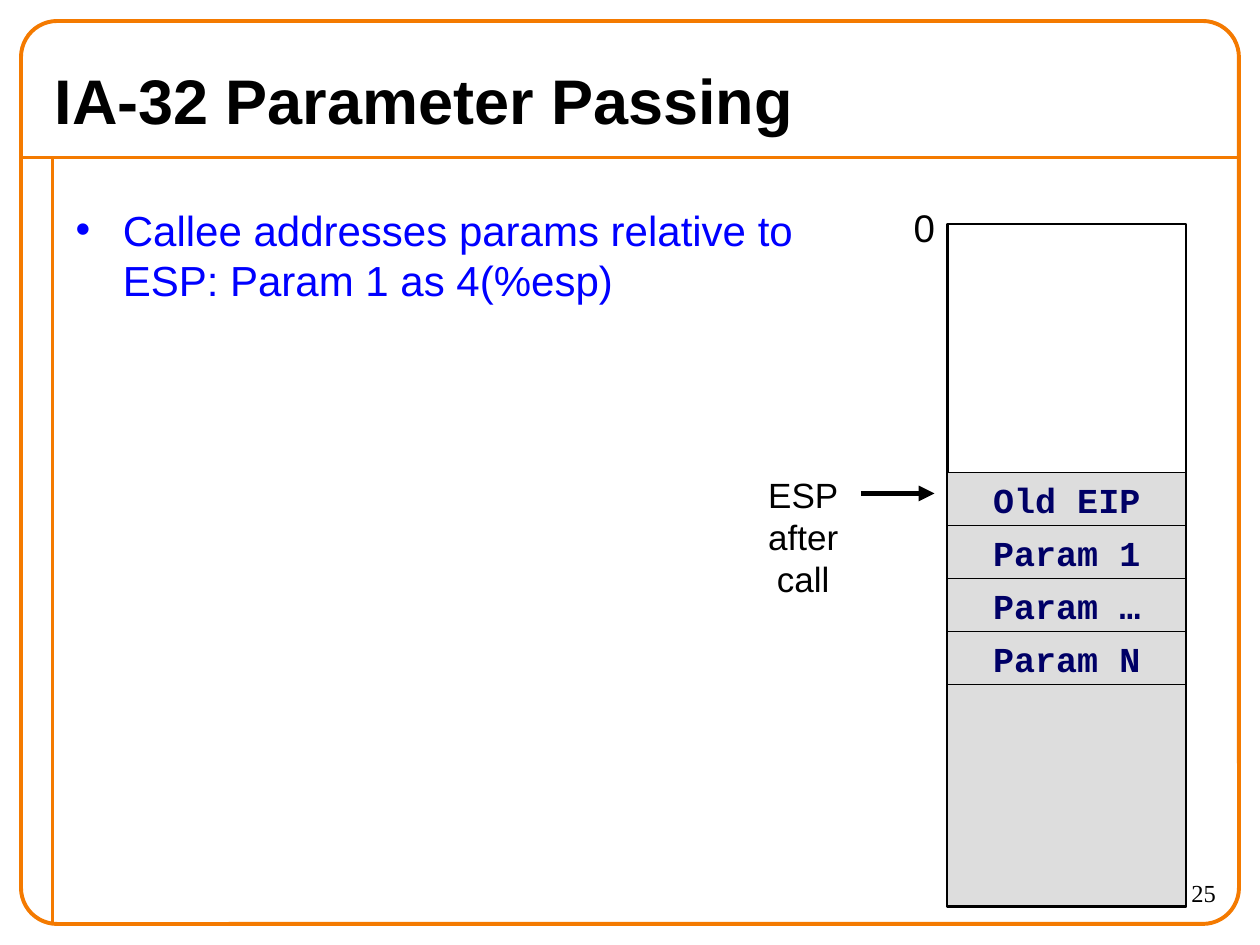
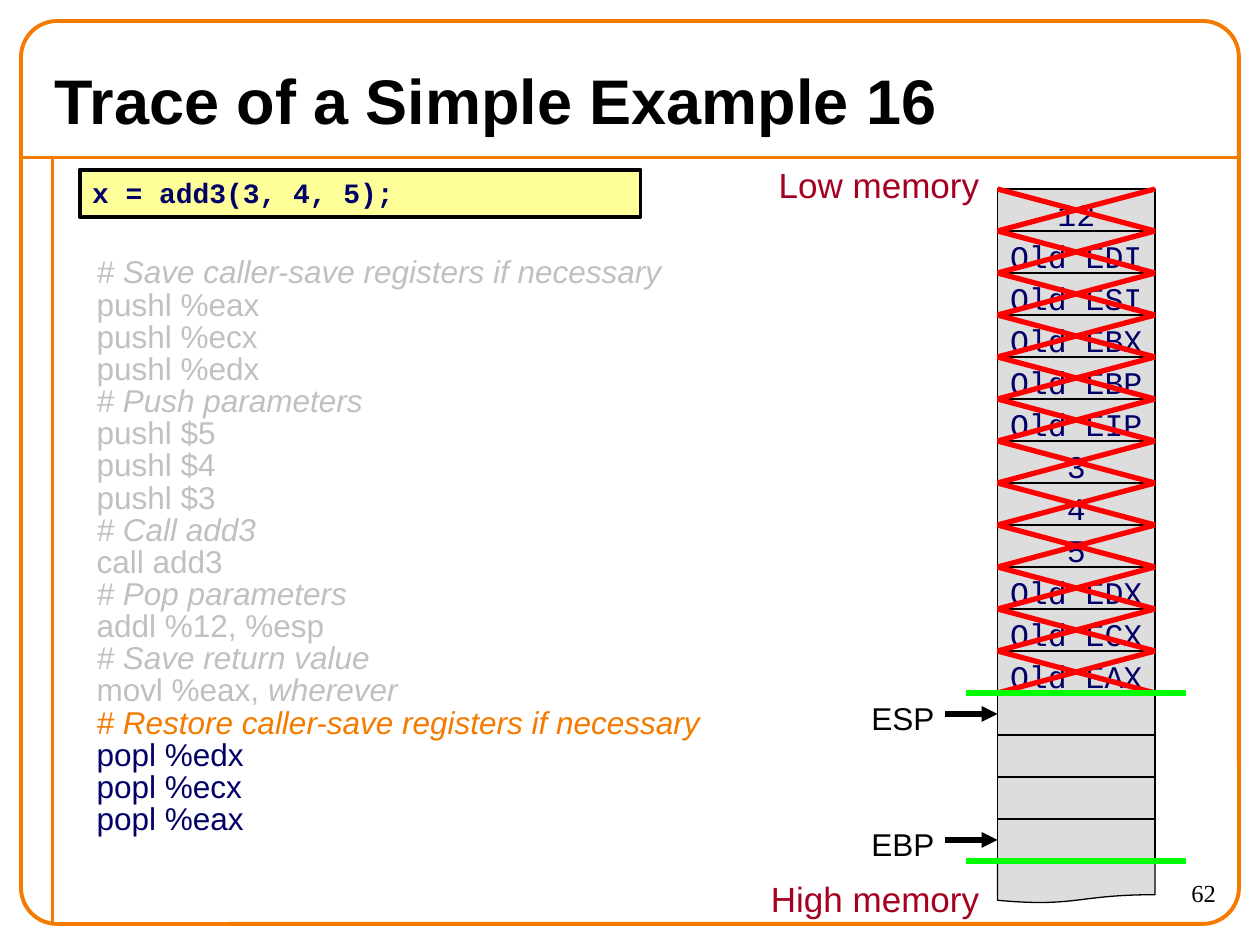
from dataclasses import dataclass
from typing import NamedTuple, Optional

from lxml.etree import SubElement
from pptx import Presentation
from pptx.dml.color import RGBColor
from pptx.enum.shapes import MSO_CONNECTOR as Connector, MSO_SHAPE as Preset
from pptx.enum.text import MSO_ANCHOR as Anchor, MSO_AUTO_SIZE as AutoSize, PP_ALIGN as Align
from pptx.oxml.ns import qn
from pptx.util import Emu, Pt

# Scale and colours: 240 px to the inch
PX = 3810
BLACK = RGBColor(0x00, 0x00, 0x00)
ORANGE = RGBColor(0xF4, 0x7A, 0x00)
BLUE = RGBColor(0x00, 0x00, 0xFF)
NAVY = RGBColor(0x00, 0x00, 0x66)
SILVER = RGBColor(0xC0, 0xC0, 0xC0)
CELL_GRAY = RGBColor(0xDD, 0xDD, 0xDD)
YELLOW = RGBColor(0xFF, 0xFF, 0x99)
RED = RGBColor(0xFF, 0x00, 0x00)
GREEN = RGBColor(0x00, 0xFF, 0x00)
CRIMSON = RGBColor(0xA5, 0x00, 0x21)


class Box(NamedTuple):
    left: int
    top: int
    width: int
    height: int


@dataclass(frozen=True)
class TextStyle:
    size: int
    color: RGBColor = BLACK
    name: str = "Arial"
    bold: bool = False
    align: Align = Align.LEFT
    side_inset: int = 24
    wrap: bool = True


@dataclass(frozen=True)
class Stack:
    left: int
    top: int
    width: int
    pitch: int
    style: TextStyle

    def cell(self, row: int) -> Box:
        return Box(self.left, self.top + row * self.pitch, self.width, self.pitch)


TITLE = TextStyle(36, bold=True)
PAGE_NUMBER = TextStyle(14, name="Times New Roman", align=Align.RIGHT)
BULLET = TextStyle(24, BLUE)
POINTER = TextStyle(20, align=Align.CENTER)
ADDRESS = TextStyle(22, align=Align.CENTER)
REGISTER = TextStyle(18, side_inset=0)
MEMORY_END = TextStyle(20, CRIMSON, align=Align.RIGHT, wrap=False)
STATEMENT = TextStyle(16, NAVY, "Courier New", bold=True)

PARAM_STACK = Stack(1805, 900, 454, 101,
                    TextStyle(20, NAVY, "Courier New", True, Align.CENTER))
TRACE_STACK = Stack(1900, 360, 300, 80,
                    TextStyle(18, NAVY, "Courier New", align=Align.CENTER, side_inset=0))

PARAM_CELLS = ["Old EIP", "Param 1", "Param …", "Param N"]
POPPED_CELLS = ["12", "Old EDI", "Old ESI", "Old EBX", "Old EBP", "Old EIP",
                "3", "4", "5", "Old EDX", "Old ECX", "Old EAX"]
FREE_ROWS = 4

DONE_CODE = [
    "# Save caller-save registers if necessary",
    "pushl %eax", "pushl %ecx", "pushl %edx",
    "# Push parameters",
    "pushl $5", "pushl $4", "pushl $3",
    "# Call add3",
    "call add3",
    "# Pop parameters",
    "addl %12, %esp",
    "# Save return value",
    "movl %eax, wherever",
]
CURRENT_CODE = [
    "# Restore caller-save registers if necessary",
    "popl %edx", "popl %ecx", "popl %eax",
]
PLACEHOLDER_WORD = "wherever"


def emu(box: Box) -> list[Emu]:
    return [Emu(length * PX) for length in box]


def place(shape, box: Box) -> None:
    shape.left, shape.top, shape.width, shape.height = emu(box)


def style_font(paragraph, style: TextStyle) -> None:
    font = paragraph.font
    font.name, font.size, font.bold = style.name, Pt(style.size), style.bold
    font.color.rgb = style.color


def write(shape, text: str, style: TextStyle, anchor: Anchor = Anchor.TOP) -> None:
    frame = shape.text_frame
    frame.text = text
    frame.word_wrap = style.wrap
    frame.auto_size = AutoSize.NONE
    frame.vertical_anchor = anchor
    frame.margin_left = frame.margin_right = Emu(style.side_inset * PX)
    for paragraph in frame.paragraphs:
        paragraph.alignment = style.align
        paragraph.space_before = Pt(0)
        style_font(paragraph, style)


def add_label(slide, box: Box, text: str, style: TextStyle) -> None:
    write(slide.shapes.add_textbox(*emu(box)), text, style)


def add_block(slide, box: Box, fill: Optional[RGBColor], line: RGBColor = BLACK,
              weight: float = 0.75, preset: Preset = Preset.RECTANGLE):
    shape = slide.shapes.add_shape(preset, *emu(box))
    shape.shadow.inherit = False
    if fill is None:
        shape.fill.background()
    else:
        shape.fill.solid()
        shape.fill.fore_color.rgb = fill
    shape.line.color.rgb = line
    shape.line.width = Pt(weight)
    return shape


def add_line(slide, x1: int, y1: int, x2: int, y2: int, color: RGBColor,
             weight: float = 3, arrow: bool = False) -> None:
    connector = slide.shapes.add_connector(
        Connector.STRAIGHT, *(Emu(length * PX) for length in (x1, y1, x2, y2)))
    connector.line.color.rgb = color
    connector.line.width = Pt(weight)
    properties = connector.element.spPr
    if arrow:
        SubElement(properties.find(qn("a:ln")), qn("a:tailEnd"), type="triangle")
    SubElement(properties, qn("a:effectLst"))


def add_cells(slide, stack: Stack, names: list[str]) -> None:
    for row, name in enumerate(names):
        write(add_block(slide, stack.cell(row), CELL_GRAY), name, stack.style)


def add_base_slide(presentation, title: str, number: int):
    """Add a slide with the shared frame, title and page number."""
    slide = presentation.slides.add_slide(presentation.slide_layouts[1])
    place(slide.shapes.title, Box(80, 100, 2240, 180))
    write(slide.shapes.title, title, TITLE, Anchor.MIDDLE)
    add_line(slide, 40, 300, 2360, 300, ORANGE, 2.25)
    add_line(slide, 100, 300, 100, 1760, ORANGE, 2.25)
    frame = add_block(slide, Box(40, 40, 2320, 1720), None, ORANGE, 2.25,
                      Preset.ROUNDED_RECTANGLE)
    frame.adjustments[0] = 0.04
    add_label(slide, Box(2100, 1660, 240, 100), str(number), PAGE_NUMBER)
    return slide


def write_code(body) -> None:
    """Fill the body with the assembly listing, comments in italics."""
    frame = body.text_frame
    frame.auto_size = AutoSize.NONE
    lines = ([(text, SILVER) for text in DONE_CODE]
             + [(text, NAVY) for text in CURRENT_CODE])
    for index, (text, color) in enumerate(lines):
        paragraph = frame.paragraphs[0] if index == 0 else frame.add_paragraph()
        properties = paragraph._p.get_or_add_pPr()
        properties.set("marL", "0")
        properties.set("indent", "0")
        SubElement(properties, qn("a:buNone"))
        paragraph.line_spacing = 0.85
        paragraph.space_before = Pt(0)
        comment = text.startswith("#")
        if comment and color == NAVY:
            color = ORANGE
        style_font(paragraph, TextStyle(18, color))
        paragraph.font.italic = comment
        instruction, word, _ = text.partition(PLACEHOLDER_WORD)
        paragraph.add_run().text = instruction
        if word:
            run = paragraph.add_run()
            run.text = word
            run.font.italic = True


def build_parameter_slide(presentation) -> None:
    slide = add_base_slide(presentation, "IA-32 Parameter Passing", 25)
    body = slide.placeholders[1]
    place(body, Box(120, 377, 1480, 1308))
    write(body, "Callee addresses params relative to ESP: Param 1 as 4(%esp)", BULLET)

    # Memory column: free space, the call's cells, the caller's data
    stack = PARAM_STACK
    add_block(slide, Box(stack.left, 427, stack.width, 1301), None, weight=1.5)
    caller_data = stack.cell(len(PARAM_CELLS))._replace(height=422)
    add_block(slide, caller_data, CELL_GRAY)
    add_cells(slide, stack, PARAM_CELLS)

    # Address and stack pointer
    add_label(slide, Box(1685, 377, 151, 113), "0", ADDRESS)
    add_label(slide, Box(1349, 890, 362, 264), "ESP\nafter\ncall", POINTER)
    add_line(slide, 1640, 940, 1780, 940, BLACK, arrow=True)


def build_trace_slide(presentation) -> None:
    slide = add_base_slide(presentation, "Trace of a Simple Example 16", 62)
    body = slide.placeholders[1]
    place(body, Box(160, 480, 1380, 1188))
    write_code(body)
    statement = add_block(slide, Box(152, 323, 1068, 90), YELLOW, weight=2.25)
    write(statement, "x = add3(3, 4, 5);", STATEMENT)

    # Stack cells, with the popped ones crossed out
    stack = TRACE_STACK
    popped = len(POPPED_CELLS)
    end = popped + FREE_ROWS
    for row in range(popped, end):
        add_block(slide, stack.cell(row), CELL_GRAY)
    add_block(slide, stack.cell(end), CELL_GRAY, preset=Preset.FLOWCHART_DOCUMENT)
    add_cells(slide, stack, POPPED_CELLS)
    right = stack.left + stack.width
    for row in range(popped):
        top = stack.cell(row).top
        bottom = top + stack.pitch
        add_line(slide, stack.left, top, right, bottom, RED)
        add_line(slide, stack.left, bottom, right, top, RED)

    # Registers and the bounds of the current frame
    for name, row in (("ESP", popped), ("EBP", end - 1)):
        top = stack.cell(row).top
        middle = top + stack.pitch // 2
        add_label(slide, Box(1660, top, 220, 96), name, REGISTER)
        add_line(slide, 1800, middle, stack.left, middle, BLACK, arrow=True)
    for row in (popped, end):
        bound = stack.cell(row).top
        add_line(slide, 1840, bound, 2260, bound, GREEN)

    for text, top in (("Low memory", 300), ("High memory", 1660)):
        add_label(slide, Box(1445, top, 444, 105), text, MEMORY_END)


def main() -> None:
    presentation = Presentation()
    presentation.slide_width, presentation.slide_height = Emu(2400 * PX), Emu(1800 * PX)
    build_parameter_slide(presentation)
    build_trace_slide(presentation)
    presentation.save("out.pptx")


if __name__ == "__main__":
    main()
